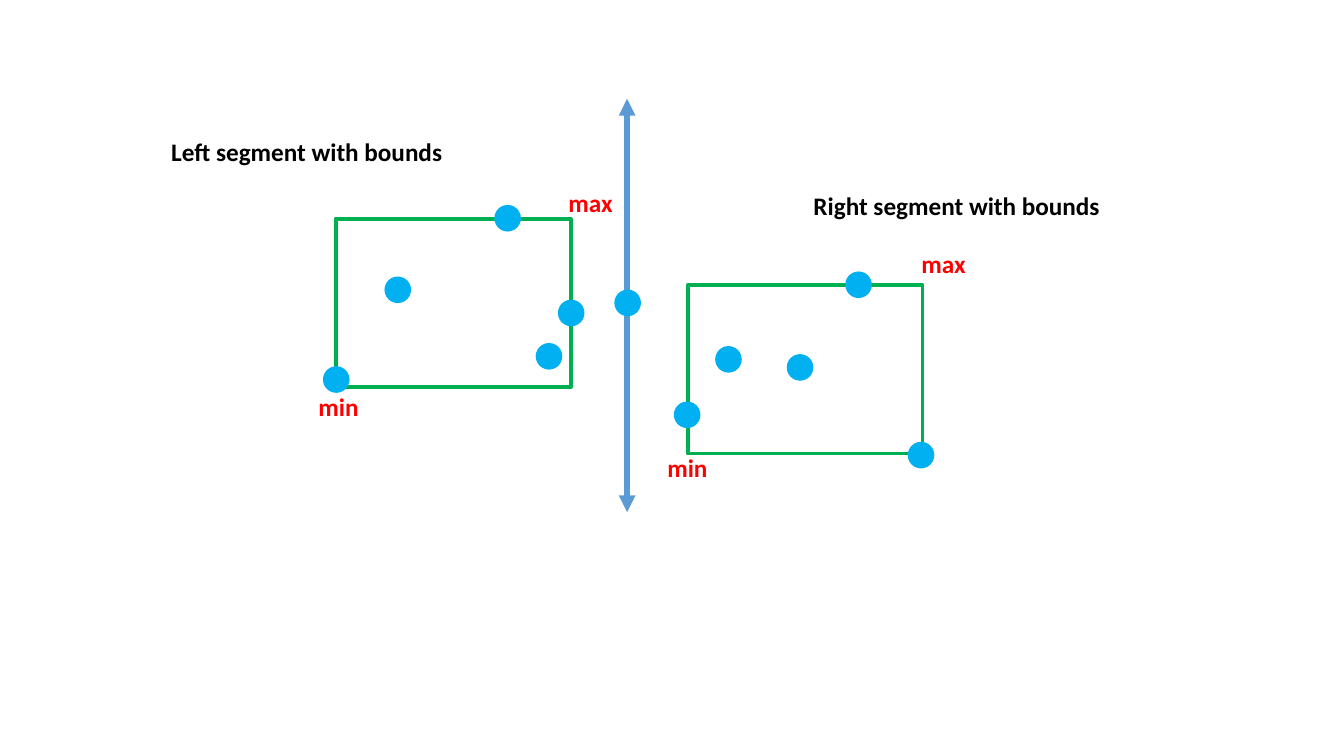
import pptx
import pptx.util
import pptx.dml.color
import pptx.enum.shapes
import pptx.enum.text
import pptx.oxml
import pptx.oxml.ns
from dataclasses import dataclass

Inches = pptx.util.Inches
Pt = pptx.util.Pt


@dataclass(frozen=True)
class Theme:
    font: str = "Calibri"
    text_size: float = 18
    heading: str = "000000"
    bound: str = "FF0000"
    point: str = "00B0F0"
    box_fill: str = "FFFFFF"
    box_line: str = "00B050"
    divider: str = "5B9BD5"
    point_line: float = 1
    box_line_width: float = 2.75
    divider_width: float = 4


THEME = Theme()
BOX_SIZE = (2.33, 1.67)
POINT_SIZE = 0.25
LABEL_HEIGHT = 0.4

# Positions are (left, top) in inches; a label adds its width.
SEGMENTS = [
    {
        "box": (3.33, 2.17),
        "points": [(4.91, 2.04), (3.21, 3.64), (5.54, 2.98), (3.82, 2.75), (5.32, 3.41)],
        "labels": [
            ("max", 5.54, 1.81, 0.64, THEME.bound),
            ("min", 3.06, 3.83, 0.6, THEME.bound),
            ("Left segment with bounds", 1.6, 1.3, 2.92, THEME.heading),
        ],
    },
    {
        "box": (6.82, 2.83),
        "points": [(8.39, 2.7), (6.69, 3.99), (9.01, 4.39), (7.81, 3.52), (7.1, 3.44)],
        "labels": [
            ("max", 9.04, 2.41, 0.64, THEME.bound),
            ("min", 6.52, 4.44, 0.6, THEME.bound),
            ("Right segment with bounds", 7.97, 1.84, 3.06, THEME.heading),
        ],
    },
]
DIVIDER = {"x": 6.22, "top": 0.98, "bottom": 5.08, "point": (6.1, 2.88)}


def color(value):
    return pptx.dml.color.RGBColor.from_string(value)


def add_figure(slide, kind, position, size, fill, line, line_width):
    figure = slide.shapes.add_shape(kind, *map(Inches, (*position, *size)))
    figure.shadow.inherit = False
    figure.fill.solid()
    figure.fill.fore_color.rgb = color(fill)
    figure.line.color.rgb = color(line)
    figure.line.width = Pt(line_width)


def add_point(slide, position):
    add_figure(slide, pptx.enum.shapes.MSO_SHAPE.OVAL, position, (POINT_SIZE, POINT_SIZE),
               THEME.point, THEME.point, THEME.point_line)


def add_label(slide, text, left, top, width, text_color):
    box = slide.shapes.add_textbox(*map(Inches, (left, top, width, LABEL_HEIGHT)))
    frame = box.text_frame
    frame.text = text
    frame.word_wrap = False
    frame.auto_size = pptx.enum.text.MSO_AUTO_SIZE.SHAPE_TO_FIT_TEXT
    font = frame.paragraphs[0].runs[0].font
    font.name = THEME.font
    font.size = Pt(THEME.text_size)
    font.bold = True
    font.color.rgb = color(text_color)


def add_divider(slide):
    x = Inches(DIVIDER["x"])
    divider = slide.shapes.add_connector(
        pptx.enum.shapes.MSO_CONNECTOR.STRAIGHT,
        x, Inches(DIVIDER["bottom"]), x, Inches(DIVIDER["top"]))
    divider.line.color.rgb = color(THEME.divider)
    divider.line.width = Pt(THEME.divider_width)
    line = divider.line._get_or_add_ln()
    for end in ("a:headEnd", "a:tailEnd"):
        arrowhead = pptx.oxml.ns.qn(end)
        line.append(line.makeelement(arrowhead, {"type": "triangle"}))
    properties = divider._element.spPr
    properties.append(properties.makeelement(pptx.oxml.ns.qn("a:effectLst"), {}))


def main():
    deck = pptx.Presentation()
    deck.slide_width, deck.slide_height = Inches(13.33), Inches(7.5)
    slide = deck.slides.add_slide(deck.slide_layouts.get_by_name("Blank"))
    add_divider(slide)
    for segment in SEGMENTS:
        add_figure(slide, pptx.enum.shapes.MSO_SHAPE.RECTANGLE, segment["box"], BOX_SIZE,
                   THEME.box_fill, THEME.box_line, THEME.box_line_width)
        for position in segment["points"]:
            add_point(slide, position)
        for label in segment["labels"]:
            add_label(slide, *label)
    add_point(slide, DIVIDER["point"])
    deck.save("out.pptx")


if __name__ == "__main__":
    main()
